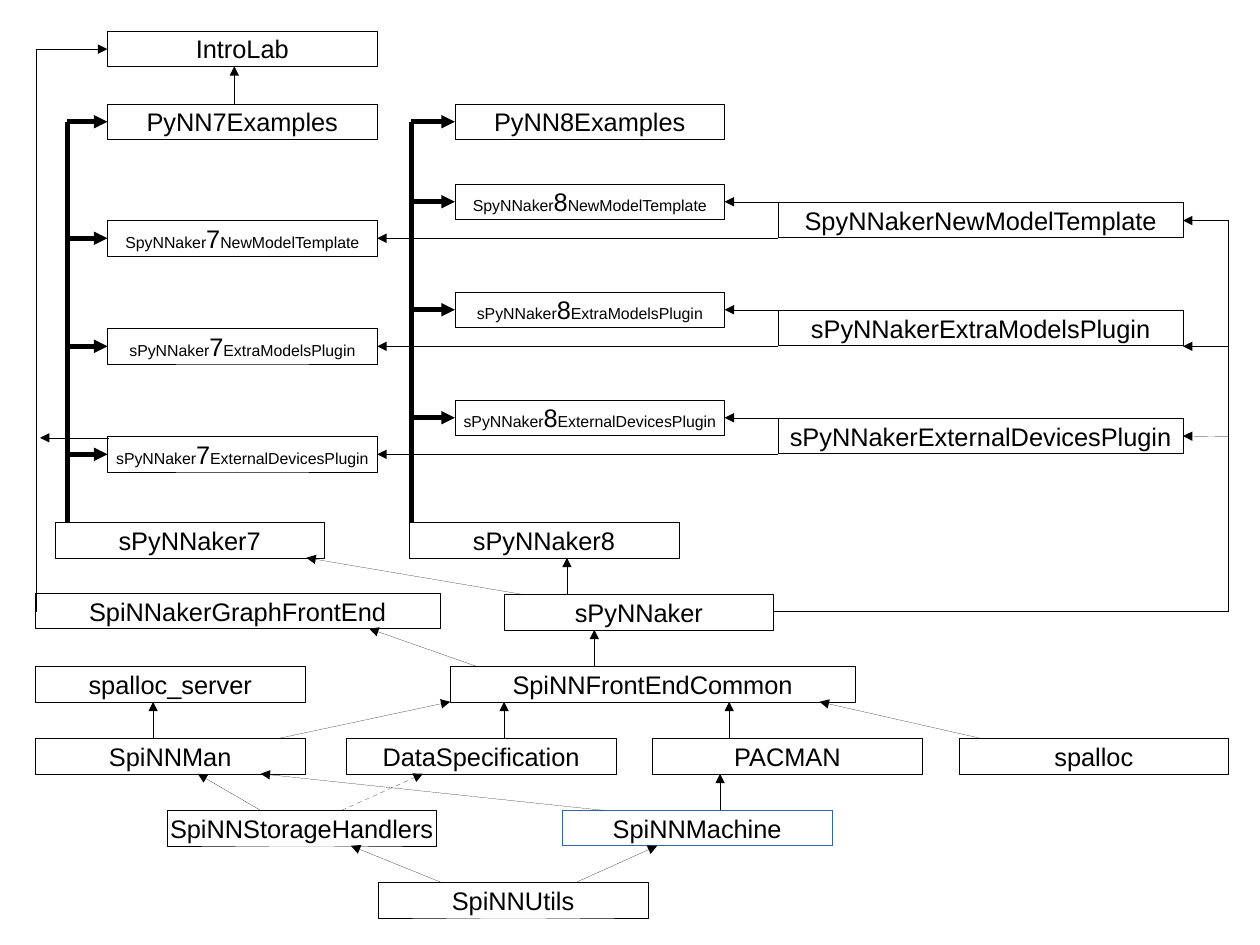
from dataclasses import dataclass

from lxml import etree
from pptx import Presentation
from pptx import util as u
from pptx.dml.color import RGBColor
from pptx.enum import dml, shapes, text
from pptx.oxml.ns import qn


@dataclass(frozen=True)
class Theme:
    font: str = "Arial"
    large: u.Pt = u.Pt(16)
    small: u.Pt = u.Pt(10)
    ink: RGBColor = RGBColor(0x00, 0x00, 0x00)
    paper: RGBColor = RGBColor(0xFF, 0xFF, 0xFF)
    accent: RGBColor = RGBColor(0x34, 0x65, 0xA4)
    hairline: u.Emu = u.Emu(1)  # zero would fall back to the theme's width
    outline: u.Pt = u.Pt(0.28)
    trunk: u.Pt = u.Pt(2.83)


THEME = Theme()
HEIGHT, NARROW, WIDE = 0.31, 2.36, 3.54
LEFT_7, LEFT_8, LEFT_COMMON = 0.94, 3.98, 6.81
FEED_X = 10.75
LEFT, RIGHT = 1, 3

# Name: left, top, width
PACKAGES = {
    "SpiNNUtils": (3.31, 7.72, NARROW),
    "SpiNNMachine": (4.92, 7.09, NARROW),
    "SpiNNStorageHandlers": (1.46, 7.09, NARROW),
    "SpiNNMan": (0.31, 6.46, NARROW),
    "PACMAN": (5.71, 6.46, NARROW),
    "DataSpecification": (3.03, 6.46, NARROW),
    "spalloc": (8.39, 6.46, NARROW),
    "spalloc_server": (0.31, 5.83, NARROW),
    "SpiNNakerGraphFrontEnd": (0.31, 5.19, WIDE),
    "sPyNNaker": (4.41, 5.2, NARROW),
    "SpiNNFrontEndCommon": (3.94, 5.83, WIDE),
    "sPyNNaker7": (0.48, 4.57, NARROW),
    "sPyNNaker8": (3.58, 4.57, NARROW),
    "PyNN7Examples": (LEFT_7, 0.91, NARROW),
    "PyNN8Examples": (LEFT_8, 0.91, NARROW),
    "IntroLab": (LEFT_7, 0.27, NARROW),
}

PLUGINS = [
    ("SpyNNaker", "NewModelTemplate"),
    ("sPyNNaker", "ExtraModelsPlugin"),
    ("sPyNNaker", "ExternalDevicesPlugin"),
]

# Source, x on its top edge, target, x on its bottom edge
DEPENDENCIES = [
    ("SpiNNUtils", 3.86, "SpiNNStorageHandlers", 3.07),
    ("SpiNNUtils", 5.04, "SpiNNMachine", 5.75),
    ("SpiNNStorageHandlers", 2.28, "SpiNNMan", 1.73),
    ("SpiNNStorageHandlers", 2.99, "DataSpecification", 3.7),
    ("SpiNNMachine", 5.28, "SpiNNMan", 2.28),
    ("SpiNNMachine", 6.3, "PACMAN", 6.3),
    ("SpiNNMan", 1.34, "spalloc_server", 1.34),
    ("SpiNNMan", 2.44, "SpiNNFrontEndCommon", 3.94),
    ("DataSpecification", 4.41, "SpiNNFrontEndCommon", 4.41),
    ("PACMAN", 6.38, "SpiNNFrontEndCommon", 6.38),
    ("spalloc", 8.58, "SpiNNFrontEndCommon", 7.17),
    ("SpiNNFrontEndCommon", 5.2, "sPyNNaker", 5.2),
    ("SpiNNFrontEndCommon", 4.17, "SpiNNakerGraphFrontEnd", 3.23),
    ("sPyNNaker", 4.57, "sPyNNaker7", 2.68),
    ("sPyNNaker", 4.96, "sPyNNaker8", 4.96),
    ("PyNN7Examples", 2.05, "IntroLab", 2.05),
]
OPTIONAL = ("SpiNNStorageHandlers", "DataSpecification")


def set_all(target, values):
    for name, value in values.items():
        setattr(target, name, value)


def add_box(slide, left, top, width, runs, border=THEME.ink, weight=THEME.outline):
    """Draw a labelled rectangle; runs holds pairs of text and size."""
    shape = slide.shapes.add_shape(
        shapes.MSO_SHAPE.RECTANGLE,
        *(u.Inches(length) for length in (left, top, width, HEIGHT)))
    shape.shadow.inherit = False
    shape.fill.solid()
    shape.fill.fore_color.rgb = THEME.paper
    shape.line.color.rgb = border
    shape.line.width = weight
    set_all(shape.text_frame, {
        "word_wrap": False, "vertical_anchor": text.MSO_ANCHOR.MIDDLE})
    paragraph = shape.text_frame.paragraphs[0]
    paragraph.alignment = text.PP_ALIGN.CENTER
    for label, size in runs:
        run = paragraph.add_run()
        run.text = label
        set_all(run.font, {"name": THEME.font, "size": size})
        run.font.color.rgb = THEME.ink
    return shape


def add_line(slide, start, end, weight=THEME.hairline, arrow=True, dashed=False, bend=None):
    """Draw a connector; bend places the middle leg of an elbow, in 1/100000."""
    kind = shapes.MSO_CONNECTOR.STRAIGHT if bend is None else shapes.MSO_CONNECTOR.ELBOW
    connector = slide.shapes.add_connector(
        kind, *(u.Inches(length) for length in (*start, *end)))
    connector.line.color.rgb = THEME.ink
    connector.line.width = weight
    if dashed:
        connector.line.dash_style = dml.MSO_LINE.DASH
    properties = connector._element.spPr
    if arrow:
        etree.SubElement(properties.find(qn("a:ln")), qn("a:tailEnd"), type="triangle")
    etree.SubElement(properties, qn("a:effectLst"))
    if bend is not None:
        geometry = properties.find(qn("a:prstGeom"))
        adjustments = geometry.find(qn("a:avLst"))
        if adjustments is None:
            adjustments = etree.SubElement(geometry, qn("a:avLst"))
        etree.SubElement(adjustments, qn("a:gd"), name="adj1", fmla=f"val {bend}")
    return connector


def middle(shape):
    return (shape.top + shape.height / 2) / u.Inches(1)


def add_bus(slide, x, bottom, targets):
    """Draw a thick trunk with one arrow to the left side of each target."""
    add_line(slide, (x, bottom), (x, middle(targets[0])), THEME.trunk, arrow=False)
    for target in targets:
        y = middle(target)
        branch = add_line(slide, (x, y), (target.left / u.Inches(1), y), THEME.trunk)
        branch.end_connect(target, LEFT)


def add_plugins(slide, left, first_top, version=""):
    """Draw a column of plugin boxes at equal steps."""
    column = []
    for row, (prefix, suffix) in enumerate(PLUGINS):
        if version:
            runs = [(prefix, THEME.small), (version, THEME.large), (suffix, THEME.small)]
        else:
            runs = [(prefix + suffix, THEME.large)]
        width = NARROW if version else WIDE
        column.append(add_box(slide, left, first_top + row * 1.89 / 2, width, runs))
    return column


def main():
    # A page of 28 by 21 centimetres
    presentation = Presentation()
    presentation.slide_width = u.Inches(28 / 2.54)
    presentation.slide_height = u.Inches(21 / 2.54)
    slide = presentation.slides.add_slide(presentation.slide_layouts[6])

    # Packages and plugin columns
    boxes = {}
    for name, place in PACKAGES.items():
        style = {}
        if name == "SpiNNMachine":
            style = {"border": THEME.accent, "weight": THEME.hairline}
        boxes[name] = add_box(slide, *place, [(name, THEME.large)], **style)
    common = add_plugins(slide, LEFT_COMMON, 1.77)
    plugins_7 = add_plugins(slide, LEFT_7, 1.93, "7")
    plugins_8 = add_plugins(slide, LEFT_8, 1.61, "8")

    # Upward dependencies
    for source, start_x, target, end_x in DEPENDENCIES:
        add_line(slide, (start_x, PACKAGES[source][1]),
                 (end_x, PACKAGES[target][1] + HEIGHT),
                 dashed=(source, target) == OPTIONAL)

    # Trunks of the two versions
    add_bus(slide, 0.59, 4.57, [boxes["PyNN7Examples"], *plugins_7])
    add_bus(slide, 3.6, 4.57, [boxes["PyNN8Examples"], *plugins_8])

    # Common plugins to the versioned ones
    for plugin in plugins_7 + plugins_8:
        y = middle(plugin)
        right = (plugin.left + plugin.width) / u.Inches(1)
        add_line(slide, (LEFT_COMMON, y), (right, y)).end_connect(plugin, RIGHT)

    # Side routes
    add_line(slide, (0.31, 5.35), (0.94, 0.43), bend=700)
    add_line(slide, (0.95, 3.83), (0.35, 3.83))
    common_right = LEFT_COMMON + WIDE
    add_line(slide, (6.77, 5.35), (common_right, 1.93), bend=111000)
    add_line(slide, (FEED_X, 3.03), (common_right, 3.03))
    add_line(slide, (FEED_X, 3.82), (common_right, 3.82)).end_connect(common[2], RIGHT)

    presentation.save("out.pptx")


if __name__ == "__main__":
    main()
